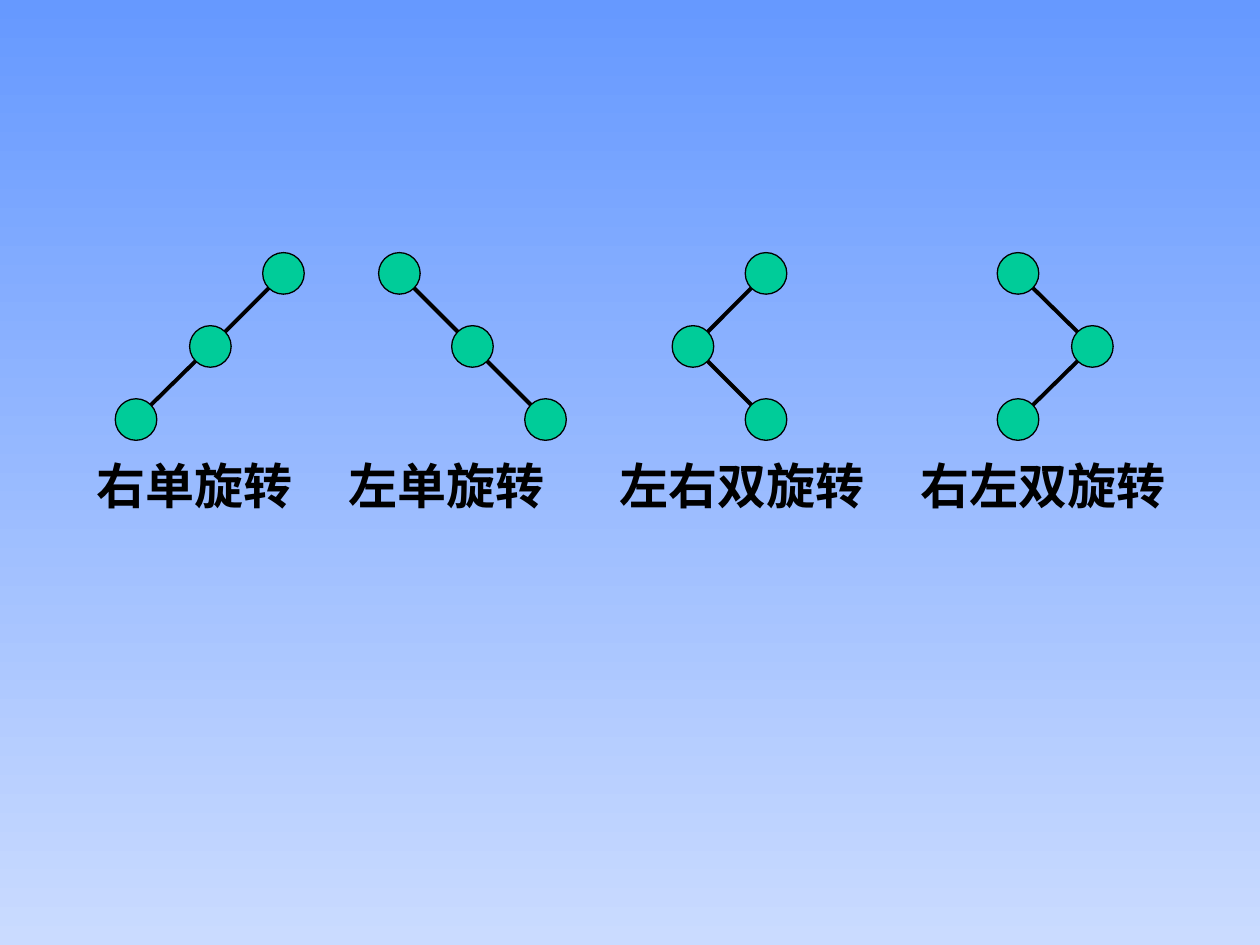
from dataclasses import dataclass
from itertools import pairwise

from lxml.etree import SubElement
from pptx import Presentation
from pptx.dml.color import RGBColor
from pptx.enum.shapes import MSO_CONNECTOR, MSO_SHAPE
from pptx.enum.text import MSO_AUTO_SIZE
from pptx.oxml.ns import qn
from pptx.shapes.shapetree import SlideShapes
from pptx.slide import Slide
from pptx.util import Inches, Pt

SKY_TOP = RGBColor(0x66, 0x99, 0xFF)
SKY_BOTTOM = RGBColor(0xCA, 0xDB, 0xFF)
NODE_GREEN = RGBColor(0x00, 0xCC, 0x99)
BLACK = RGBColor(0x00, 0x00, 0x00)
FONT = "Noto Sans CJK SC"

NODE_SIZE = 0.33
LEVELS = (2.17, 2.75, 3.33)  # node centres, root to leaf
CAPTION_TOP, CAPTION_HEIGHT = 3.57, 0.57


@dataclass(frozen=True)
class RotationCase:
    caption: str
    caption_left: float
    caption_width: float
    node_xs: tuple[float, float, float]  # node centres, root to leaf


CASES = (
    RotationCase("右单旋转", 0.67, 1.75, (2.25, 1.67, 1.08)),
    RotationCase("左单旋转", 2.67, 1.75, (3.17, 3.75, 4.33)),
    RotationCase(" 左右双旋转", 4.73, 2.24, (6.08, 5.5, 6.08)),
    RotationCase("右左双旋转", 7.21, 2.14, (8.08, 8.67, 8.08)),
)


def paint_background(slide: Slide) -> None:
    fill = slide.background.fill
    fill.gradient()
    fill.gradient_angle = 270
    for stop, color in zip(fill.gradient_stops, (SKY_TOP, SKY_BOTTOM)):
        stop.color.rgb = color


def draw_edge(shapes: SlideShapes, start: tuple[float, float], end: tuple[float, float]) -> None:
    edge = shapes.add_connector(
        MSO_CONNECTOR.STRAIGHT, *(Inches(value) for value in start + end)
    )
    edge.line.color.rgb = BLACK
    edge.line.width = Pt(2.25)
    SubElement(edge._element.spPr, qn("a:effectLst"))


def draw_node(shapes: SlideShapes, x: float, y: float) -> None:
    """Draw a tree node centred on (x, y)."""
    node = shapes.add_shape(
        MSO_SHAPE.OVAL,
        Inches(x - NODE_SIZE / 2),
        Inches(y - NODE_SIZE / 2),
        Inches(NODE_SIZE),
        Inches(NODE_SIZE),
    )
    node.shadow.inherit = False
    node.fill.solid()
    node.fill.fore_color.rgb = NODE_GREEN
    node.line.color.rgb = BLACK
    node.line.width = Pt(0.75)


def draw_caption(shapes: SlideShapes, case: RotationCase) -> None:
    frame = shapes.add_textbox(
        Inches(case.caption_left),
        Inches(CAPTION_TOP),
        Inches(case.caption_width),
        Inches(CAPTION_HEIGHT),
    ).text_frame
    frame.word_wrap = False
    frame.auto_size = MSO_AUTO_SIZE.SHAPE_TO_FIT_TEXT
    run = frame.paragraphs[0].add_run()
    run.text = case.caption
    run.font.size = Pt(28)
    run.font.bold = True
    run.font.color.rgb = BLACK
    run.font.name = FONT
    SubElement(run.font._element, qn("a:ea"), typeface=FONT)


def draw_case(shapes: SlideShapes, case: RotationCase) -> None:
    centres = list(zip(case.node_xs, LEVELS))
    for parent, child in pairwise(centres):
        draw_edge(shapes, parent, child)
    for x, y in centres:
        draw_node(shapes, x, y)
    draw_caption(shapes, case)


def main() -> None:
    deck = Presentation()
    deck.slide_width, deck.slide_height = Inches(10), Inches(7.5)
    slide = deck.slides.add_slide(deck.slide_layouts[6])
    paint_background(slide)
    for case in CASES:
        draw_case(slide.shapes, case)
    deck.save("out.pptx")


if __name__ == "__main__":
    main()
